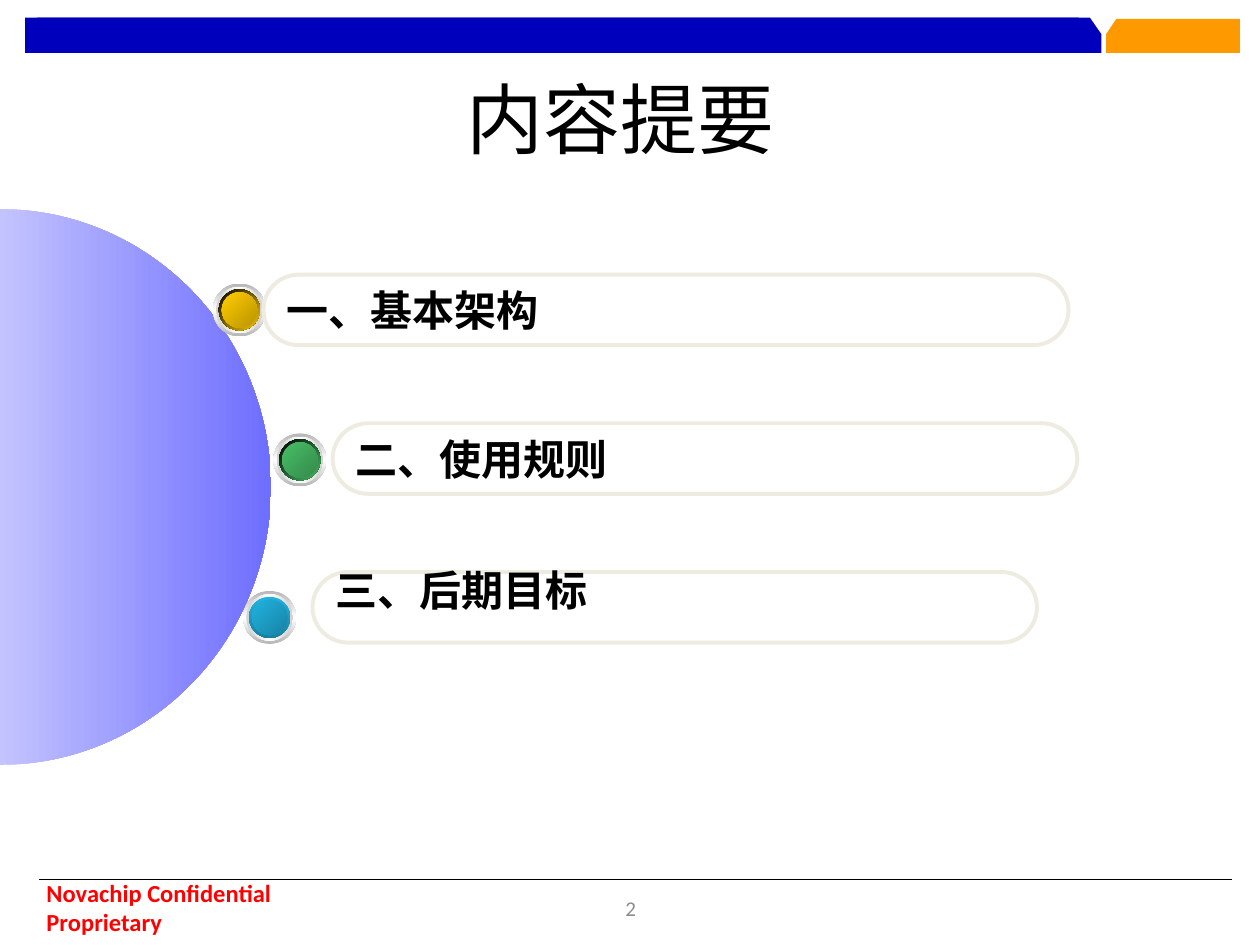
from lxml import etree
from pptx import Presentation
from pptx.dml.color import RGBColor
from pptx.enum.shapes import MSO_CONNECTOR, MSO_SHAPE
from pptx.enum.text import MSO_ANCHOR, PP_ALIGN
from pptx.oxml.ns import qn
from pptx.util import Inches, Pt

ELLIPSE = MSO_SHAPE.OVAL
PILL = MSO_SHAPE.ROUNDED_RECTANGLE
STRAIGHT = MSO_CONNECTOR.STRAIGHT
TOP, MIDDLE = MSO_ANCHOR.TOP, MSO_ANCHOR.MIDDLE
LEFT, CENTER = PP_ALIGN.LEFT, PP_ALIGN.CENTER

BLACK = RGBColor(0x00, 0x00, 0x00)
WHITE = RGBColor(0xFF, 0xFF, 0xFF)
RED = RGBColor(0xFF, 0x00, 0x00)
GRAY = RGBColor(0x8C, 0x8C, 0x8C)
BANNER_BLUE = RGBColor(0x00, 0x00, 0xBC)
BANNER_ORANGE = RGBColor(0xFF, 0x99, 0x00)
PILL_LINE = RGBColor(0xEE, 0xEC, 0xE1)
DISC_LIGHT = RGBColor(0xC3, 0xC3, 0xFF)
DISC_DARK = RGBColor(0x6E, 0x6E, 0xFF)
RING_OUTER = RGBColor(0xB6, 0xB6, 0xB6)
RING_INNER = RGBColor(0xD1, 0xD1, 0xD1)
GOLD, GOLD_DARK = RGBColor(0xFF, 0xCC, 0x00), RGBColor(0xBA, 0x95, 0x00)
GREEN, GREEN_DARK = RGBColor(0x48, 0xBE, 0x67), RGBColor(0x35, 0x8B, 0x4B)
CYAN, CYAN_DARK = RGBColor(0x21, 0xB3, 0xE1), RGBColor(0x18, 0x83, 0xA4)
CYAN_RIM = RGBColor(0x18, 0x80, 0xA1)

LATIN_FONT = "Calibri"
CHINESE_FONT = "Noto Sans CJK SC"
WIDTH, HEIGHT = 10, 7.5
ORB_SIZE = 0.42

TITLE = {"size": Pt(44), "bold": False, "name": CHINESE_FONT, "color": BLACK}
ITEM = {"size": Pt(24), "bold": True, "name": CHINESE_FONT, "color": BLACK}
NOTICE = {"size": Pt(14), "bold": True, "name": LATIN_FONT, "color": RED}
NUMBER = {"size": Pt(12), "bold": False, "name": LATIN_FONT, "color": GRAY}


def write_text(shape, text, style, align=LEFT, anchor=MIDDLE, wrap=True):
    frame = shape.text_frame
    frame.word_wrap = wrap
    frame.vertical_anchor = anchor
    paragraph = frame.paragraphs[0]
    paragraph.alignment = align
    run = paragraph.add_run()
    run.text = text
    for name, value in style.items():
        if name == "color":
            run.font.color.rgb = value
        else:
            setattr(run.font, name, value)
    east_asian = etree.SubElement(run.font._element, qn("a:ea"))
    east_asian.set("typeface", style["name"])


def add_text(slide, box, text, style, **layout):
    shape = slide.shapes.add_textbox(*map(Inches, box))
    write_text(shape, text, style, **layout)


def fill_solid(shape, color):
    shape.fill.solid()
    shape.fill.fore_color.rgb = color


def fill_gradient(shape, colors, angle):
    shape.fill.gradient()
    gradient = shape._element.spPr.find(qn("a:gradFill"))
    stops = gradient.find(qn("a:gsLst"))
    for stop in list(stops):
        stops.remove(stop)
    for index, color in enumerate(colors):
        position = 100000 * index // (len(colors) - 1)
        stop = etree.SubElement(stops, qn("a:gs"), pos=str(position))
        etree.SubElement(stop, qn("a:srgbClr"), val=str(color))
    gradient.find(qn("a:lin")).set("ang", str(angle * 60000))


def add_outline(slide, points):
    start, *others = [(Inches(x), Inches(y)) for x, y in points]
    builder = slide.shapes.build_freeform(*start, scale=1.0)
    builder.add_line_segments(others, close=True)
    shape = builder.convert_to_shape()
    shape.shadow.inherit = False
    shape.line.fill.background()
    return shape


def add_banner(slide, left, top, width, height):
    bottom = top + height
    bar = 8.45
    for start in (left + 0.09, left):
        end = start + bar
        points = [(start, top), (start, bottom), (end, bottom),
                  (end, top + 0.13), (end - 0.09, top)]
        fill_solid(add_outline(slide, points), BANNER_BLUE)
    start, end = left + bar + 0.13, left + width
    tab = add_outline(slide, [(start, bottom), (end, bottom), (end, top + 0.01),
                              (start + 0.08, top + 0.01), (start, top + 0.13)])
    fill_solid(tab, BANNER_ORANGE)


def add_footer(slide, left, top, width, height):
    line = slide.shapes.add_connector(
        STRAIGHT, *map(Inches, (left, top, left + width, top)))
    line.line.color.rgb = BLACK
    line.line.width = Pt(0.75)
    etree.SubElement(line._element.spPr, qn("a:effectLst"))
    add_text(slide, (left - 0.04, top + 0.02, 2.91, height),
             "Novachip Confidential Proprietary", NOTICE, wrap=False)
    add_text(slide, (left + 3.11, top + 0.03, 3.17, height), "2", NUMBER, align=CENTER)


def add_half_disc(slide, left, top, width, height):
    middle = top + height / 2
    disc = add_outline(slide, [(left, top), (left + width, middle), (left, top + height)])
    corners = list(disc._element.spPr.iter(qn("a:lnTo")))
    for corner, start_angle in zip(corners, (270, 0)):
        arc = etree.Element(qn("a:arcTo"), wR=str(Inches(width)), hR=str(Inches(height / 2)),
                            stAng=str(start_angle * 60000), swAng=str(90 * 60000))
        corner.getparent().replace(corner, arc)
    fill_gradient(disc, (DISC_LIGHT, DISC_DARK), 0)


def add_orb(slide, left, top, size, rim, rim_angle, core):
    layers = [
        (1, (RING_OUTER, WHITE, RING_OUTER), 90),
        (0.88, (RING_INNER, WHITE, RING_INNER), 0),
        (0.78, rim, rim_angle),
        (0.67, core, 45),
    ]
    for share, colors, angle in layers:
        inset = size * (1 - share) / 2
        box = (left + inset, top + inset, size * share, size * share)
        circle = slide.shapes.add_shape(ELLIPSE, *map(Inches, box))
        circle.shadow.inherit = False
        circle.line.fill.background()
        fill_gradient(circle, colors, angle)


def add_item(slide, left, top, width, height, text, bottom_inset):
    pill = slide.shapes.add_shape(PILL, *map(Inches, (left, top, width, height)))
    pill.adjustments[0] = 0.5
    pill.shadow.inherit = False
    pill.fill.background()
    pill.line.color.rgb = PILL_LINE
    pill.line.width = Pt(2.25)
    pill.text_frame.margin_bottom = Inches(bottom_inset)
    write_text(pill, text, ITEM, wrap=False)


def add_agenda(slide, left, top, width, height):
    items = [
        ("一、基本架构", 2.09, 6.39, 0.05, 1.69, 0.59, (BLACK, GOLD), 45, (GOLD, GOLD_DARK)),
        ("二、使用规则", 2.64, 5.91, 0.05, 2.17, 1.78, (BLACK, GREEN), 45, (GREEN, GREEN_DARK)),
        ("三、后期目标", 2.48, 5.75, 0.33, 1.93, 3.03, (CYAN, CYAN_RIM), 90, (CYAN, CYAN_DARK)),
    ]
    add_half_disc(slide, left, top, width * 0.25, height)
    for _, _, _, _, orb_left, orb_top, rim, rim_angle, core in items:
        add_orb(slide, left + orb_left, top + orb_top, ORB_SIZE, rim, rim_angle, core)
    for row, (text, pill_left, pill_width, inset, *_) in enumerate(items):
        add_item(slide, left + pill_left, top + 0.52 + 1.18 * row,
                 pill_width, 0.56, text, inset)


def main():
    presentation = Presentation()
    presentation.slide_width = Inches(WIDTH)
    presentation.slide_height = Inches(HEIGHT)
    slide = presentation.slides.add_slide(presentation.slide_layouts[6])
    add_banner(slide, 0.2, 0.14, 9.64, 0.28)
    add_footer(slide, 0.31, 6.98, 9.47, 0.4)
    add_agenda(slide, 0, 1.66, 8.6, 4.41)
    add_text(slide, (0.43, 0.52, 9, 1.25), "内容提要", TITLE, align=CENTER, anchor=TOP)
    presentation.save("out.pptx")


if __name__ == "__main__":
    main()
